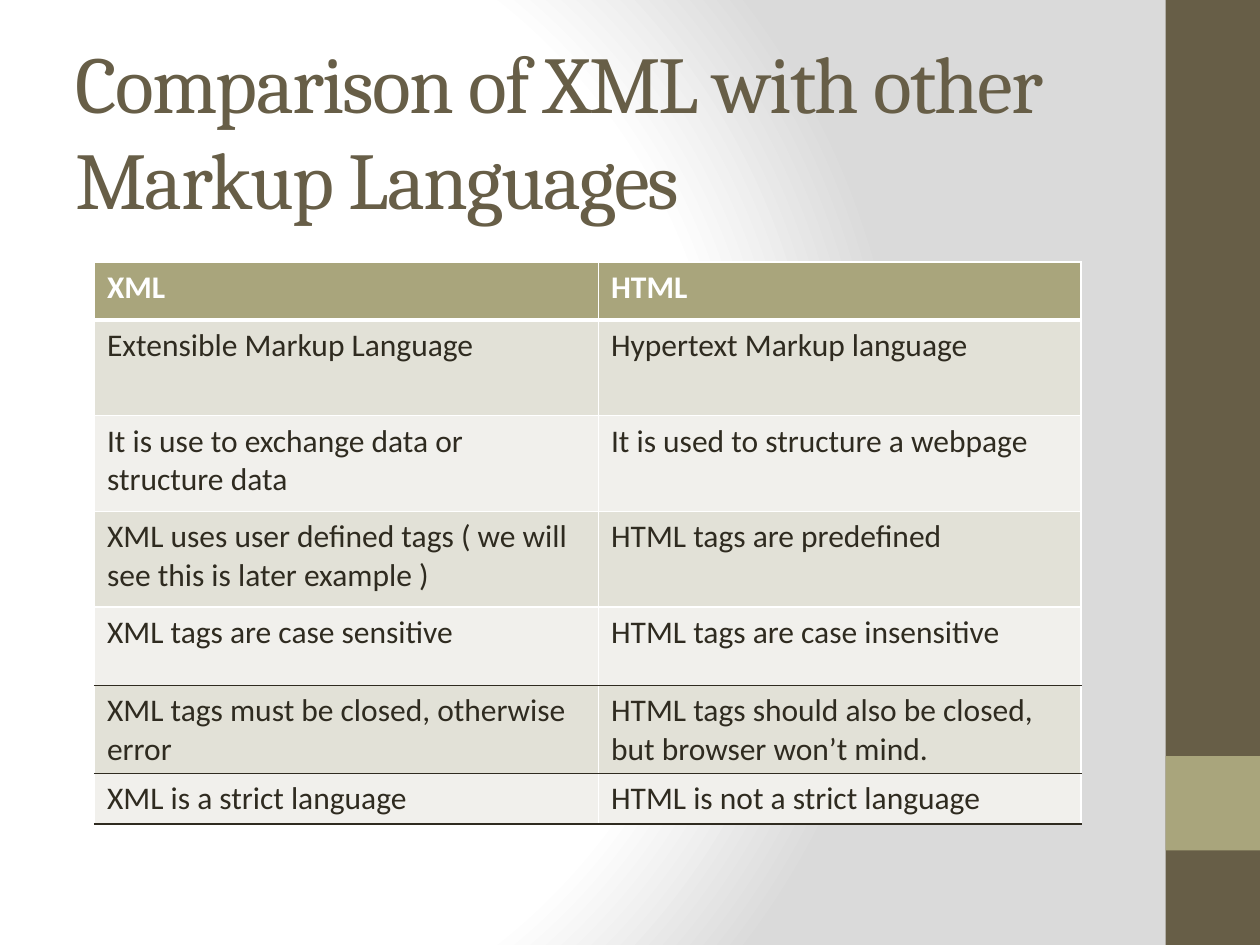
from lxml.etree import SubElement
from pptx import Presentation
from pptx.dml.color import RGBColor
from pptx.enum.shapes import MSO_SHAPE
from pptx.enum.text import MSO_ANCHOR
from pptx.oxml.ns import qn
from pptx.util import Inches, Pt

COLORS = {
    "white": "FFFFFF",
    "backdrop": "DADADA",
    "brown": "675E47",
    "olive": "A9A57C",
    "ink": "2F2B20",
    "band_dark": "E2E1D7",
    "band_light": "F1F0EC",
}
COMPARISON = [
    ("XML", "HTML"),
    ("Extensible Markup Language", "Hypertext Markup language"),
    ("It is use to exchange data or structure data", "It is used to structure a webpage"),
    ("XML uses user defined tags ( we will see this is later example )",
     "HTML tags are predefined"),
    ("XML tags are case sensitive", "HTML tags are case insensitive"),
    ("XML tags must be closed, otherwise error",
     "HTML tags should also be closed, but browser won’t mind."),
    ("XML is a strict language", "HTML is not a strict language"),
]
COLUMN_WIDTHS = [4, 3.83]
ROW_HEIGHTS = [0.46, 0.76, 0.76, 0.76, 0.62, 0.68, 0.39]
FIRST_DARK_RULE = 5  # horizontal rules are numbered from the table's top edge


def rgb(name):
    return RGBColor.from_string(COLORS[name])


def add_solid(parent, color):
    fill = SubElement(parent, qn("a:solidFill"))
    SubElement(fill, qn("a:srgbClr"), val=COLORS[color])


def set_background(slide):
    """Give the slide a radial gradient from white to grey."""
    slide.background.fill.gradient()
    gradient = next(slide._element.iter(qn("a:gradFill")))
    for child in list(gradient):
        gradient.remove(child)
    stops = SubElement(gradient, qn("a:gsLst"))
    for position, color in [(0, "white"), (75, "white"), (100, "backdrop")]:
        stop = SubElement(stops, qn("a:gs"), pos=str(position * 1000))
        SubElement(stop, qn("a:srgbClr"), val=COLORS[color])
    circle = SubElement(gradient, qn("a:path"), path="circle")
    SubElement(circle, qn("a:fillToRect"), l="20000", t="50000", r="100000", b="50000")


def add_side_block(slide, top, height, color):
    block = slide.shapes.add_shape(
        MSO_SHAPE.RECTANGLE, Inches(9.25), Inches(top), Inches(0.75), Inches(height))
    block.shadow.inherit = False
    block.fill.solid()
    block.fill.fore_color.rgb = rgb(color)
    block.line.fill.background()


def add_run(paragraph, text, font_name, size, color, bold=False):
    run = paragraph.add_run()
    run.text = text
    run.font.name = font_name
    run.font.size = Pt(size)
    run.font.bold = bold
    run.font.color.rgb = rgb(color)
    return run


def add_title(slide, text):
    title = slide.shapes.add_textbox(Inches(0.5), Inches(0.3), Inches(8.5), Inches(1.45))
    frame = title.text_frame
    frame.word_wrap = True
    frame.vertical_anchor = MSO_ANCHOR.MIDDLE
    run = add_run(frame.paragraphs[0], text, "Cambria", 46, "brown")
    run.font._element.set("spc", "-100")


def set_border(cell, side, color, width):
    line = SubElement(cell._tc.get_or_add_tcPr(), qn(f"a:ln{side}"), w=str(Pt(width)))
    add_solid(line, color)


def rule_style(rule):
    """Return colour and width of a horizontal rule."""
    if rule >= FIRST_DARK_RULE:
        return "ink", 1
    return "white", 3 if rule == 1 else 1


def style_cell(cell, row):
    set_border(cell, "L", "white", 1)
    set_border(cell, "R", "white", 1)
    set_border(cell, "T", *rule_style(row))
    set_border(cell, "B", *rule_style(row + 1))
    cell.fill.solid()
    band = "band_dark" if row % 2 else "band_light"
    cell.fill.fore_color.rgb = rgb("olive" if row == 0 else band)


def add_comparison(slide):
    table = slide.shapes.add_table(
        len(ROW_HEIGHTS), len(COLUMN_WIDTHS), Inches(0.75), Inches(2.08),
        Inches(sum(COLUMN_WIDTHS)), Inches(sum(ROW_HEIGHTS))).table
    for column, width in zip(table.columns, COLUMN_WIDTHS):
        column.width = Inches(width)
    for row, (height, texts) in enumerate(zip(ROW_HEIGHTS, COMPARISON)):
        table.rows[row].height = Inches(height)
        header = row == 0
        for column, text in enumerate(texts):
            cell = table.cell(row, column)
            style_cell(cell, row)
            add_run(cell.text_frame.paragraphs[0], text, "Calibri", 18,
                    "white" if header else "ink", bold=header)


def main():
    deck = Presentation()
    deck.slide_width, deck.slide_height = Inches(10), Inches(7.5)
    slide = deck.slides.add_slide(deck.slide_layouts[6])
    set_background(slide)
    add_side_block(slide, 0, 7.5, "brown")
    add_side_block(slide, 6, 0.75, "olive")
    add_title(slide, "Comparison of XML with other Markup Languages")
    add_comparison(slide)
    deck.save("out.pptx")


if __name__ == "__main__":
    main()
